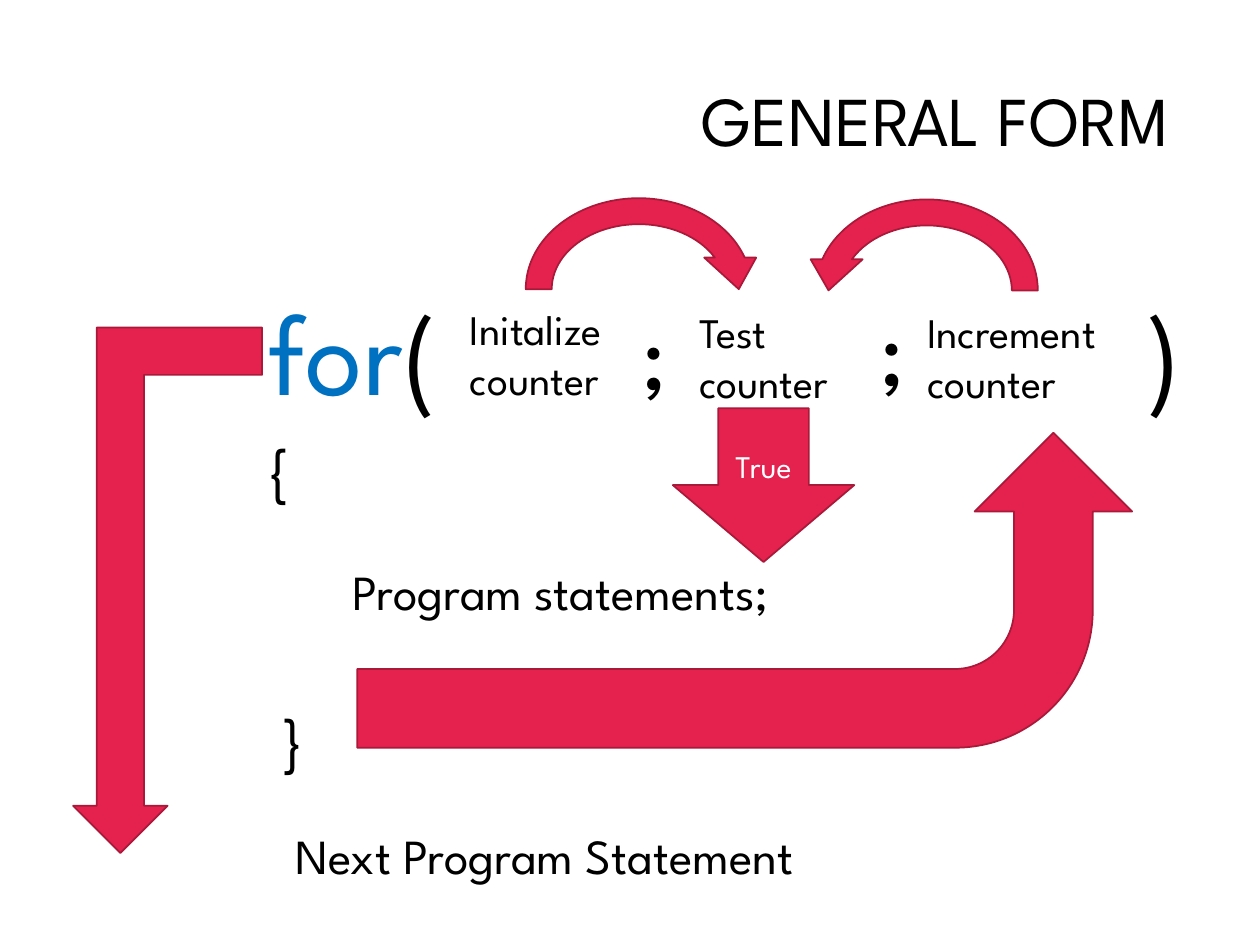
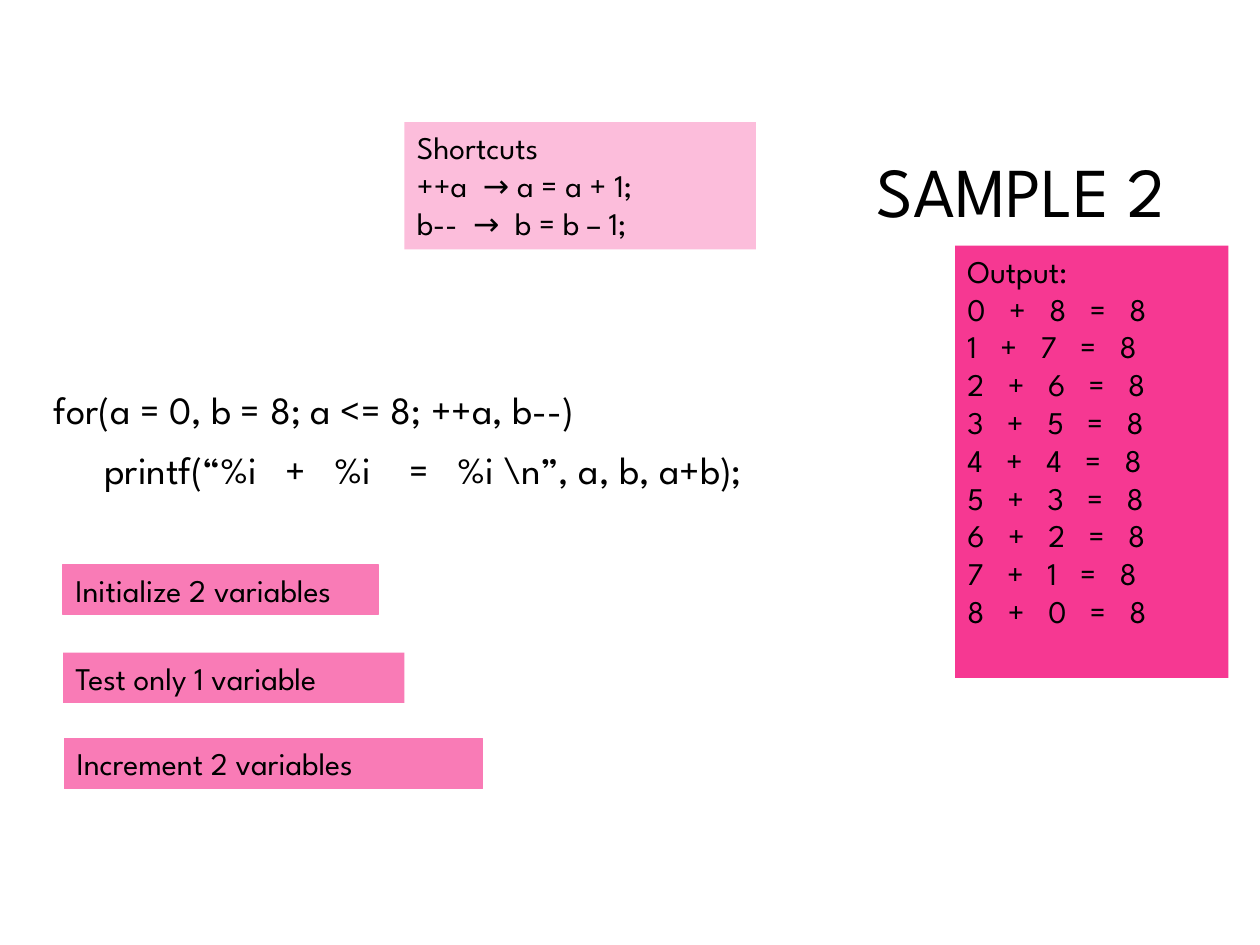
from pptx import Presentation
from pptx.dml.color import RGBColor
from pptx.enum.shapes import MSO_SHAPE
from pptx.enum.text import MSO_ANCHOR, PP_ALIGN
from pptx.util import Inches, Pt

FONT = "League Spartan"
BLACK = RGBColor(0x00, 0x00, 0x00)
WHITE = RGBColor(0xFF, 0xFF, 0xFF)
BLUE = RGBColor(0x00, 0x70, 0xC0)
RED = RGBColor(0xE5, 0x22, 0x4E)
DARK_RED = RGBColor(0xA9, 0x19, 0x3A)
HOT_PINK = RGBColor(0xF6, 0x38, 0x92)
MID_PINK = RGBColor(0xF9, 0x7B, 0xB6)
PALE_PINK = RGBColor(0xFC, 0xBD, 0xDB)


def add_span(para, text, size, color=BLACK):
    """Add one formatted run to a paragraph."""
    span = para.add_run()
    span.text = text
    span.font.name = FONT
    span.font.size = Pt(size)
    span.font.color.rgb = color


def add_paras(frame, lines, size):
    """Write lines as paragraphs; a line is a list of (text, colour) pairs."""
    for index, line in enumerate(lines):
        para = frame.add_paragraph() if index else frame.paragraphs[0]
        for text, color in line:
            add_span(para, text, size, color)


def add_text(page, place, lines, size, wrap=True):
    """Add a text box; a plain string counts as one black run."""
    box = page.shapes.add_textbox(*map(Inches, place))
    box.text_frame.word_wrap = wrap
    spans = [[(line, BLACK)] if isinstance(line, str) else line for line in lines]
    add_paras(box.text_frame, spans, size)
    return box


def add_panel(page, place, lines, fill, outlined=False):
    """Add a text box with a coloured background."""
    box = add_text(page, place, lines, 18)
    box.fill.solid()
    box.fill.fore_color.rgb = fill
    if outlined:
        box.line.color.rgb = fill
        box.line.width = Pt(0.75)


def add_arrow(page, kind, place, rotation=0, flip=None):
    """Add a red block arrow, turned and mirrored as asked."""
    arrow = page.shapes.add_shape(kind, *map(Inches, place))
    arrow.shadow.inherit = False
    arrow.fill.solid()
    arrow.fill.fore_color.rgb = RED
    arrow.line.color.rgb = DARK_RED
    arrow.line.width = Pt(1)
    arrow.rotation = rotation
    if flip:
        arrow.element.spPr.xfrm.set(flip, "1")
    return arrow


def add_page(deck, title, left, top):
    """Add a title-only slide with its right-aligned title."""
    page = deck.slides.add_slide(deck.slide_layouts[5])
    box = page.shapes.title
    box.left, box.top = Inches(left), Inches(top)
    box.width, box.height = Inches(6.97), Inches(1.41)
    box.text_frame.word_wrap = True
    box.text_frame.vertical_anchor = MSO_ANCHOR.MIDDLE
    para = box.text_frame.paragraphs[0]
    para.alignment = PP_ALIGN.RIGHT
    para.line_spacing = 0.9
    add_span(para, title, 40)
    return page


def build_general_form(deck):
    """Show the parts of a for loop and the flow between them."""
    page = add_page(deck, "GENERAL FORM", 2.41, 0.28)

    add_text(page, (2.03, 2.17, 1.75, 1.21), [[("for", BLUE), ("(", BLACK)]], 66)
    add_text(page, (3.63, 2.36, 1.64, 0.91), ["Initalize", "counter"], 24)
    add_text(page, (5, 2.29, 0.57, 1.01), [";"], 54)
    add_text(page, (5.45, 2.38, 1.62, 0.91), ["Test counter"], 24)
    add_text(page, (6.89, 2.26, 0.4, 1.01), [";"], 54, wrap=False)
    add_text(page, (7.26, 2.38, 1.97, 0.91), ["Increment counter"], 24)
    add_text(page, (9, 2.17, 0.83, 1.21), [")"], 66)

    add_text(page, (2.03, 3.36, 1, 0.71), ["{"], 36)
    add_text(page, (2.7, 4.41, 4.65, 0.57), ["Program statements;"], 28)
    add_text(page, (2.12, 5.5, 0.58, 0.71), ["}"], 36)

    add_arrow(page, MSO_SHAPE.CIRCULAR_ARROW, (4.07, 1.47, 2, 1.65))
    add_arrow(page, MSO_SHAPE.CIRCULAR_ARROW, (6.37, 1.48, 1.97, 1.65), flip="flipH")
    true_arrow = add_arrow(page, MSO_SHAPE.DOWN_ARROW, (5.34, 3.24, 1.44, 1.22))
    true_arrow.text_frame.vertical_anchor = MSO_ANCHOR.MIDDLE
    add_paras(true_arrow.text_frame, [[("True", WHITE)]], 18)
    true_arrow.text_frame.paragraphs[0].alignment = PP_ALIGN.CENTER
    add_arrow(page, MSO_SHAPE.BENT_ARROW, (4.66, 1.61, 2.5, 6.15), 270, "flipV")
    add_arrow(page, MSO_SHAPE.BENT_UP_ARROW, (0.58, 2.6, 1.5, 4.17), 180)

    add_text(page, (2.25, 6.5, 5.42, 0.57), ["Next Program Statement"], 28)


def build_sample(deck):
    """Show a loop with two variables, its output and remarks."""
    page = add_page(deck, "SAMPLE 2", 2.38, 0.84)

    code = add_text(page, (0.33, 3.06, 9, 1.22), [
        "for(a = 0, b = 8; a <= 8; ++a, b--)",
        "printf(“%i   +   %i    =   %i \\n”, a, b, a+b);",
    ], 22)
    for para, indent in zip(code.text_frame.paragraphs, (0, 0.4)):
        para.line_spacing = 0.9
        para.space_before = Pt(10)
        para._p.get_or_add_pPr().set("marL", str(Inches(indent)))

    sums = [f"{a}   +   {8 - a}   =   8" for a in range(9)]
    add_panel(page, (7.58, 1.95, 2.17, 3.43), ["Output:"] + sums, HOT_PINK)
    add_panel(page, (0.5, 4.48, 2.5, 0.4), ["Initialize 2 variables"], MID_PINK, True)
    add_panel(page, (0.5, 5.18, 2.71, 0.4), ["Test only 1 variable"], MID_PINK)
    add_panel(page, (0.51, 5.86, 3.32, 0.4), ["Increment 2 variables"], MID_PINK, True)
    add_panel(page, (3.21, 0.97, 2.79, 1.01),
              ["Shortcuts", "++a  → a = a + 1;", "b--  →  b = b – 1;"], PALE_PINK)


def main():
    """Build and save the deck."""
    deck = Presentation()
    deck.slide_width, deck.slide_height = Inches(10), Inches(7.5)
    build_general_form(deck)
    build_sample(deck)
    deck.save("out.pptx")


main()
